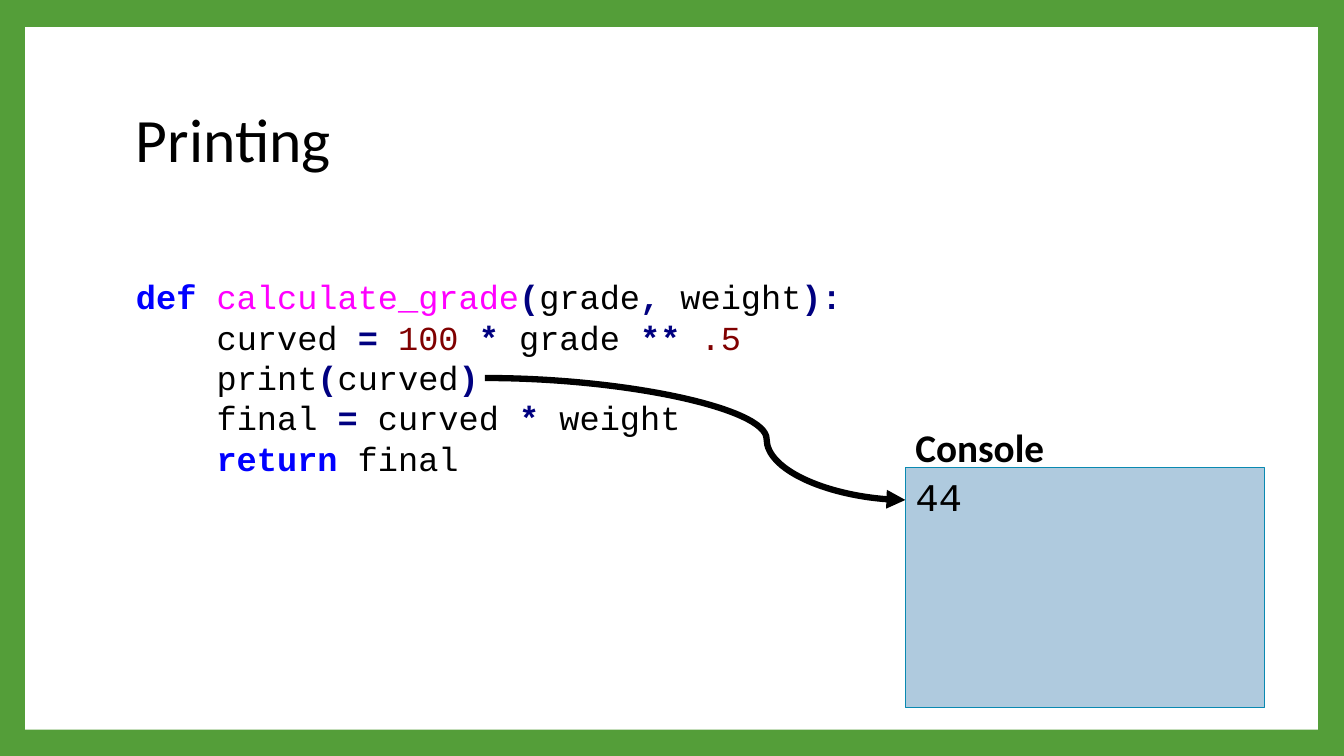
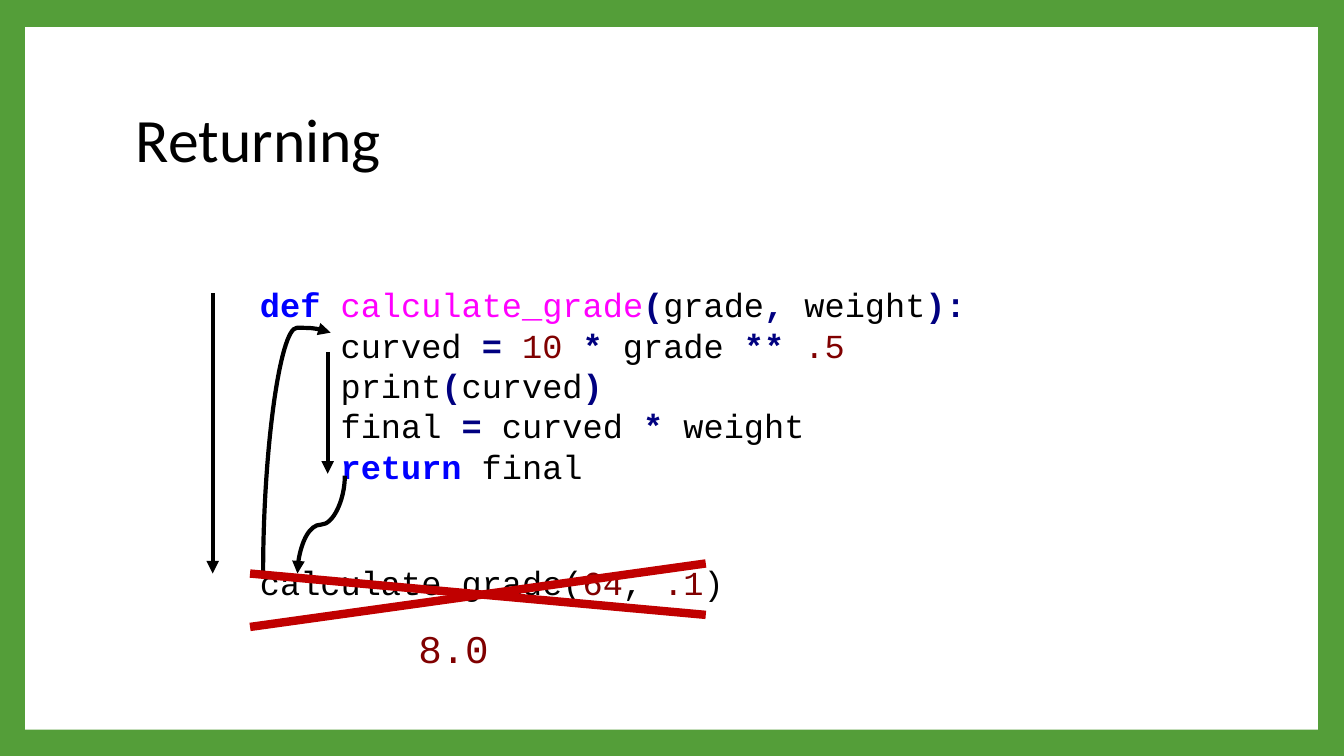
from lxml.etree import SubElement
from pptx import Presentation
from pptx.dml.color import RGBColor
from pptx.enum.shapes import MSO_CONNECTOR, MSO_SHAPE
from pptx.enum.text import MSO_ANCHOR, MSO_AUTO_SIZE, PP_ALIGN
from pptx.oxml.ns import qn
from pptx.util import Inches, Pt

SANS, MONO = "Calibri", "Courier New"
BLACK, WHITE, GREEN = "000000", "FFFFFF", "549E39"
CONSOLE_FILL, CONSOLE_EDGE, CROSS_RED = "AFCADE", "0989B1", "C00000"

# Syntax styles: colour, bold
PLAIN = (BLACK, False)
KEYWORD = ("0000FF", True)
FUNCTION = ("FF00FF", False)
OPERATOR = ("000080", True)
NUMBER = ("800000", False)


def rgb(hex_colour):
    return RGBColor.from_string(hex_colour)


def grade_function(factor):
    """Return the code lines of calculate_grade as styled runs."""
    return [
        [("def ", KEYWORD), ("calculate_grade", FUNCTION), ("(", OPERATOR),
         ("grade", PLAIN), (",", OPERATOR), (" weight", PLAIN), ("):", OPERATOR)],
        [("    curved ", PLAIN), ("= ", OPERATOR), (f"{factor} ", NUMBER),
         ("*", OPERATOR), (" grade ", PLAIN), ("** ", OPERATOR), (".5", NUMBER)],
        [("    print", PLAIN), ("(", OPERATOR), ("curved", PLAIN), (")", OPERATOR)],
        [("    final ", PLAIN), ("=", OPERATOR), (" curved ", PLAIN),
         ("*", OPERATOR), (" weight", PLAIN)],
        [("    ", PLAIN), ("return", KEYWORD), (" final", PLAIN)],
    ]


class Deck:
    def __init__(self):
        self.prs = Presentation()
        self.prs.slide_width, self.prs.slide_height = Inches(13.33), Inches(7.5)
        self.slide = None

    def new_slide(self, title):
        """Start a slide with the green frame, white panel and title."""
        self.slide = self.prs.slides.add_slide(self.prs.slide_layouts[6])
        background = self.slide.background.fill
        background.solid()
        background.fore_color.rgb = rgb(GREEN)
        self.rectangle(0.25, 0.27, 12.82, 6.97, WHITE)
        frame = self.text(1.25, 0.67, 10.8, 1.48, [[(title, PLAIN)]], 44, SANS)
        frame.auto_size = MSO_AUTO_SIZE.NONE
        frame.vertical_anchor = MSO_ANCHOR.MIDDLE
        frame.paragraphs[0].line_spacing = 0.9

    def rectangle(self, left, top, width, height, fill, edge=None):
        box = self.slide.shapes.add_shape(
            MSO_SHAPE.RECTANGLE, Inches(left), Inches(top), Inches(width), Inches(height))
        box.shadow.inherit = False
        box.fill.solid()
        box.fill.fore_color.rgb = rgb(fill)
        if edge:
            box.line.color.rgb = rgb(edge)
            box.line.width = Pt(0.79)
        else:
            box.line.fill.background()
        box.text_frame.vertical_anchor = MSO_ANCHOR.TOP
        return box

    def add_lines(self, frame, lines, size, font):
        """Fill a text frame with lines of (text, style) runs."""
        for number, line in enumerate(lines):
            paragraph = frame.add_paragraph() if number else frame.paragraphs[0]
            paragraph.alignment = PP_ALIGN.LEFT
            for words, (colour, bold) in line:
                run = paragraph.add_run()
                run.text = words
                run.font.name, run.font.size = font, Pt(size)
                run.font.bold = bold
                run.font.color.rgb = rgb(colour)

    def text(self, left, top, width, height, lines, size, font, wrap=True):
        frame = self.slide.shapes.add_textbox(
            Inches(left), Inches(top), Inches(width), Inches(height)).text_frame
        frame.word_wrap = wrap
        frame.auto_size = MSO_AUTO_SIZE.SHAPE_TO_FIT_TEXT
        self.add_lines(frame, lines, size, font)
        return frame

    def line(self, start, end, width=3, colour=BLACK, arrow=True,
             kind=MSO_CONNECTOR.STRAIGHT):
        connector = self.slide.shapes.add_connector(
            kind, *(Inches(value) for value in (*start, *end)))
        connector.line.width = Pt(width)
        connector.line.color.rgb = rgb(colour)
        properties = connector._element.spPr
        if arrow:
            SubElement(properties.find(qn("a:ln")), qn("a:tailEnd"), type="triangle")
        SubElement(properties, qn("a:effectLst"))
        return connector

    def curve(self, start, end, bend, width=3, upright=False):
        """Draw a curved arrow; an upright one leaves and arrives vertically."""
        if upright:
            mid_x, mid_y = (start[0] + end[0]) / 2, (start[1] + end[1]) / 2
            start, end = ((mid_x + y - mid_y, mid_y - x + mid_x) for x, y in (start, end))
        connector = self.line(start, end, width, kind=MSO_CONNECTOR.CURVE)
        properties = connector._element.spPr
        if upright:
            properties.find(qn("a:xfrm")).set("rot", str(90 * 60000))
        geometry = properties.find(qn("a:prstGeom"))
        adjustments = geometry.find(qn("a:avLst"))
        if adjustments is None:
            adjustments = SubElement(geometry, qn("a:avLst"))
        SubElement(adjustments, qn("a:gd"), name="adj1", fmla=f"val {round(bend * 100000)}")


def printing_slide(deck):
    deck.new_slide("Printing")
    deck.text(1.25, 2.69, 10.03, 2.12, grade_function(100), 24, MONO)
    deck.curve((4.81, 3.75), (8.98, 4.96), 0.67, width=4.5)
    console = deck.rectangle(8.98, 4.64, 3.56, 2.38, CONSOLE_FILL, CONSOLE_EDGE)
    deck.add_lines(console.text_frame, [[("44", PLAIN)]], 28, MONO)
    deck.text(8.98, 4.15, 1.55, 0.57, [[("Console", (BLACK, True))]], 28, SANS, wrap=False)


def returning_slide(deck):
    deck.new_slide("Returning")
    call = [("calculate_grade(", PLAIN), ("64", NUMBER), (", ", PLAIN),
            (".1", NUMBER), (")", PLAIN)]
    code = deck.text(2.48, 2.77, 10.03, 3.33, grade_function(10) + [call], 24, MONO)
    code.paragraphs[-1].space_before = Pt(54.4)

    call_top = 5.69
    deck.line((2.11, 2.91), (2.11, call_top))
    deck.curve((2.61, call_top), (3.28, 3.3), 1.02, upright=True)
    deck.line((3.25, 3.49), (3.25, 4.7))
    deck.curve((3.42, 4.72), (2.95, call_top), 0.5, upright=True)

    for start_y, end_y in ((6.22, 5.59), (call_top, 6.1)):
        deck.line((2.48, start_y), (7, end_y), 6, CROSS_RED, arrow=False)
    deck.text(4.05, 6.14, 0.91, 0.57, [[("8.0", NUMBER)]], 28, MONO, wrap=False)


def main():
    deck = Deck()
    printing_slide(deck)
    returning_slide(deck)
    deck.prs.save("out.pptx")


if __name__ == "__main__":
    main()
